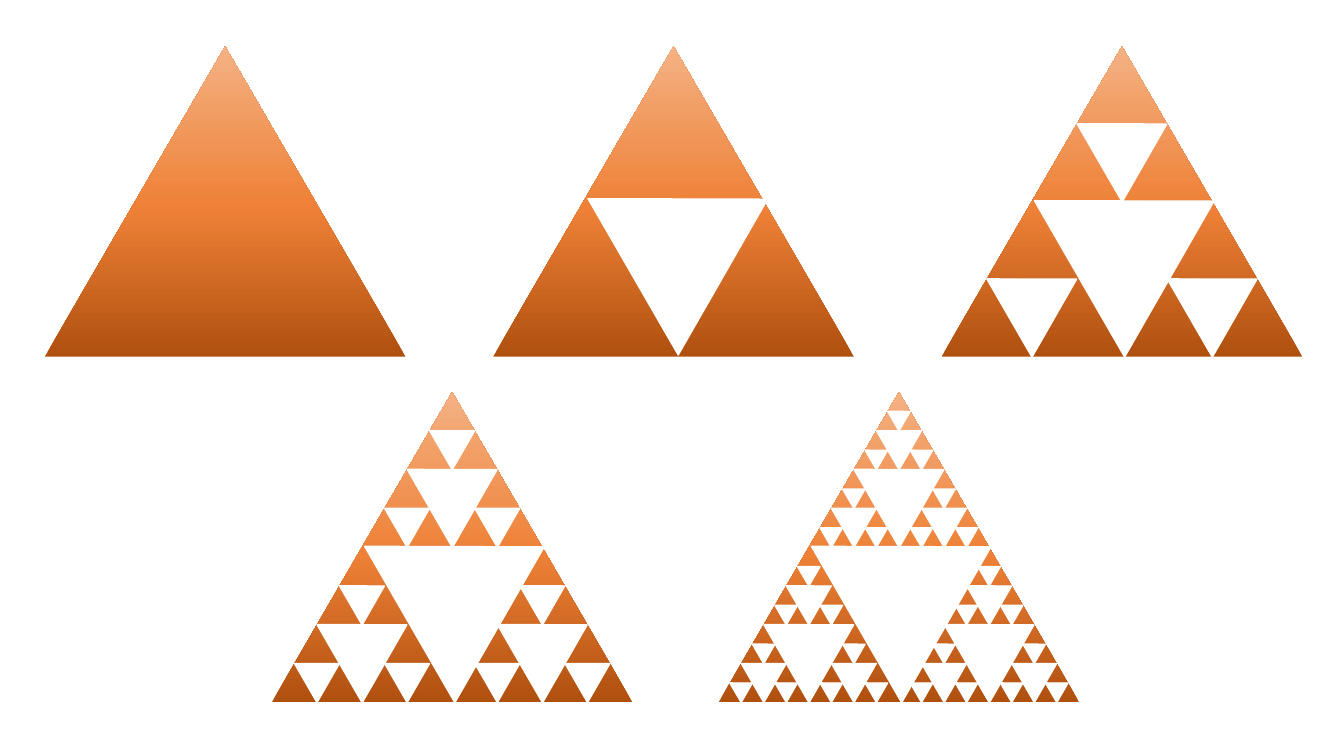
from copy import deepcopy
from dataclasses import dataclass
from math import cos, pi, sin

from pptx import Presentation
from pptx.dml.color import RGBColor
from pptx.enum.shapes import MSO_SHAPE as Kind
from pptx.oxml.ns import qn
from pptx.shapes.autoshape import Shape
from pptx.shapes.group import GroupShape as Group
from pptx.util import Cm, Pt

WHITE = RGBColor(0xFF, 0xFF, 0xFF)
STOPS = {
    0: RGBColor(0xB0, 0x50, 0x0F),
    0.48: RGBColor(0xEE, 0x81, 0x37),
    1: RGBColor(0xF4, 0xB1, 0x83),
}
WIDE, HIGH = 9.09, 7.82
TURN = 60


@dataclass(frozen=True)
class Stage:
    left: float
    top: float
    depth: int
    dx: float = 0.06  # shift of the central hole
    dy: float = -0.01


# Three stages above, two below
STAGES = [
    Stage(1.13, 1.17, 0),
    Stage(12.43, 1.17, 1, 0.11, -0.06),
    Stage(23.73, 1.17, 2),
    Stage(6.85, 9.88, 3),
    Stage(18.11, 9.88, 4),
]


def add_tri(group: Group, x: float, y: float, w: float, h: float) -> Shape:
    tri = group.shapes.add_shape(Kind.ISOSCELES_TRIANGLE, Cm(x), Cm(y), Cm(w), Cm(h))
    tri.shadow.inherit = False
    return tri


def add_base(group: Group, stage: Stage) -> None:
    tri = add_tri(group, stage.left, stage.top, WIDE, HIGH)
    tri.line.fill.background()
    tri.fill.gradient()
    # Widen the default two stops to three
    stops = tri._element.spPr.find(qn("a:gradFill")).find(qn("a:gsLst"))
    stops.append(deepcopy(stops[0]))
    for stop, (place, tone) in zip(tri.fill.gradient_stops, STOPS.items()):
        stop.position = place
        stop.color.rgb = tone
    tri.fill.gradient_angle = 90


def add_hole(group: Group, x: float, y: float, w: float, h: float) -> None:
    """Put a half-size hole, turned point down, on the centroid at x, y."""
    arm = h / 6
    mid = x + arm * sin(TURN * pi / 180)
    level = y - arm * cos(TURN * pi / 180)
    tri = add_tri(group, mid - w / 2, level - h / 2, w, h)
    tri.fill.solid()
    tri.fill.fore_color.rgb = WHITE
    tri.line.color.rgb = WHITE
    for name, value in {"rotation": TURN, "line.width": Pt(1)}.items():
        owner = tri.line if name.startswith("line.") else tri
        setattr(owner, name.split(".")[-1], value)


def carve(group: Group, x: float, y: float, w: float, h: float,
          depth: int, dx: float = 0, dy: float = 0) -> None:
    """Cut the middle out of a triangle, then out of its three corners."""
    if depth == 0:
        return
    w, h = w / 2, h / 2
    add_hole(group, x + w + dx, y + h * 4 / 3 + dy, w, h)
    for left, top in ((x + w / 2, y), (x, y + h), (x + w, y + h)):
        carve(group, left, top, w, h, depth - 1)


def main() -> None:
    deck = Presentation()
    deck.slide_width, deck.slide_height = Cm(33.87), Cm(19.05)
    slide = deck.slides.add_slide(deck.slide_layouts[6])
    for stage in STAGES:
        # A stage with holes is grouped
        group = slide.shapes.add_group_shape() if stage.depth else slide
        add_base(group, stage)
        carve(group, stage.left, stage.top, WIDE, HIGH,
              stage.depth, stage.dx, stage.dy)
    deck.save("out.pptx")


if __name__ == "__main__":
    main()
